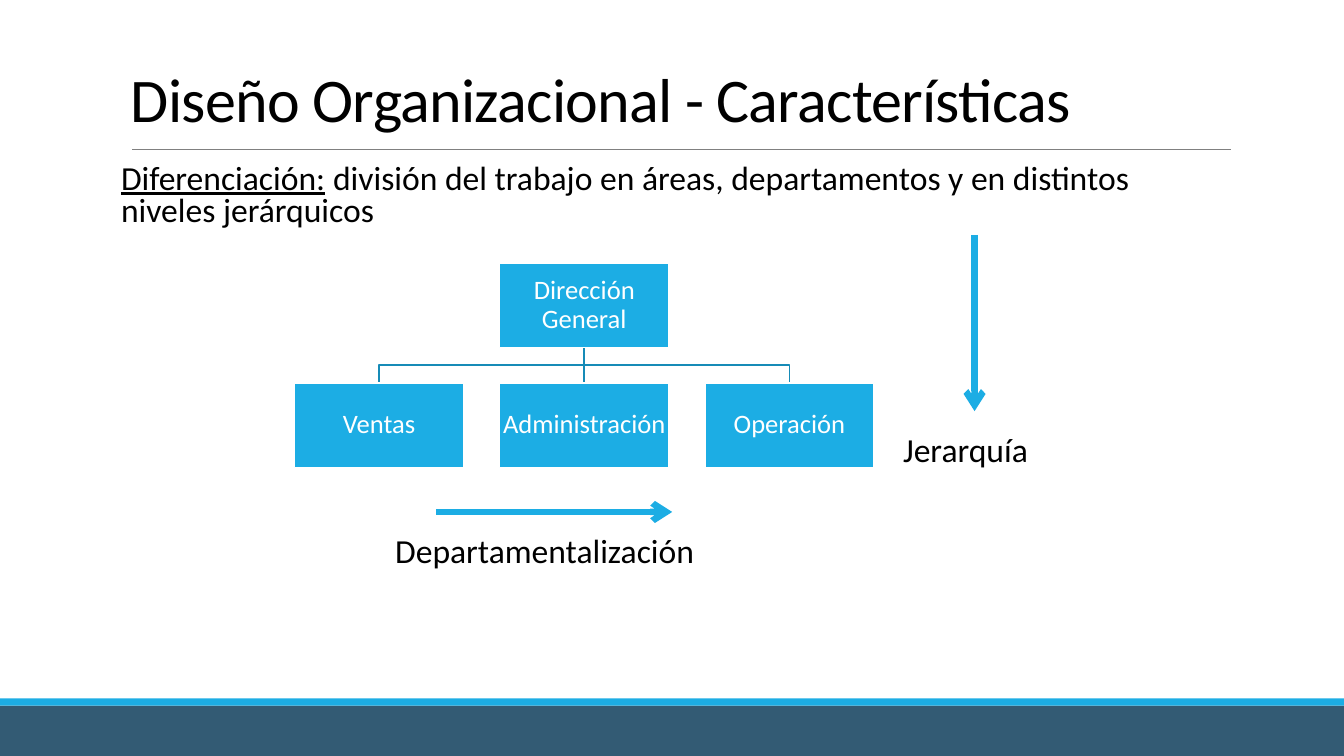
from dataclasses import dataclass

import pptx
import pptx.dml.color
import pptx.enum.shapes
import pptx.enum.text
import pptx.oxml
import pptx.oxml.ns
import pptx.util
from pptx.util import Cm

Anchor = pptx.enum.text.MSO_ANCHOR
Align = pptx.enum.text.PP_ALIGN
Preset = pptx.enum.shapes.MSO_SHAPE


@dataclass(frozen=True)
class Theme:
    font: str = "Calibri"
    text: str = "000000"
    light: str = "FFFFFF"
    accent: str = "1CADE4"
    link: str = "168BB7"
    footer: str = "335B74"
    rule: str = "808080"
    title_size: float = 44.3
    body_size: float = 24
    box_size: float = 19
    link_width: float = 1.25
    arrow_width: float = 4.5
    rule_width: float = 0.5


@dataclass(frozen=True)
class Area:
    left: float
    top: float
    width: float
    height: float

    def lengths(self) -> tuple:
        return tuple(Cm(v) for v in (self.left, self.top, self.width, self.height))


@dataclass(frozen=True)
class Unit:
    name: str
    left: float
    top: float


@dataclass(frozen=True)
class Arrow:
    start: tuple[float, float]
    end: tuple[float, float]
    label: str
    label_area: Area


THEME = Theme()
BOX_WIDTH, BOX_HEIGHT, BOX_PITCH = 4.27, 2.13, 5.17
ROW_LEFT, HEAD_TOP, ROW_TOP = 7.42, 6.63, 9.65

HEAD = Unit("Dirección General", ROW_LEFT + BOX_PITCH, HEAD_TOP)
DEPARTMENTS = [
    Unit(name, ROW_LEFT + i * BOX_PITCH, ROW_TOP)
    for i, name in enumerate(["Ventas", "Administración", "Operación"])
]
ARROWS = [
    Arrow((24.56, 5.92), (24.56, 10.36), "Jerarquía", Area(22.76, 10.8, 4.34, 1.5)),
    Arrow((11, 12.9), (16.94, 12.9), "Departamentalización", Area(9.96, 13.34, 8.69, 1.5)),
]


def rgb(code: str) -> pptx.dml.color.RGBColor:
    return pptx.dml.color.RGBColor.from_string(code)


def add_span(para, text: str, size: float, color: str, underline: bool = False):
    span = para.add_run()
    span.text = text
    span.font.name = THEME.font
    span.font.size = pptx.util.Pt(size)
    span.font.color.rgb = rgb(color)
    if underline:
        span.font.underline = True
    return span


def set_frame(frame, anchor, side: float, edge: float) -> None:
    frame.word_wrap = True
    frame.auto_size = pptx.enum.text.MSO_AUTO_SIZE.NONE
    frame.vertical_anchor = anchor
    frame.margin_left = frame.margin_right = Cm(side)
    frame.margin_top = frame.margin_bottom = Cm(edge)


def set_spacing(para, align, line: float, before: float = 0, after: float = 0) -> None:
    para.alignment = align
    para.line_spacing = line
    para.space_before = pptx.util.Pt(before)
    para.space_after = pptx.util.Pt(after)


def place(shape, area: Area) -> None:
    shape.left, shape.top, shape.width, shape.height = area.lengths()


def add_rectangle(page, area: Area, fill: str):
    box = page.shapes.add_shape(Preset.RECTANGLE, *area.lengths())
    box.shadow.inherit = False
    box.fill.solid()
    box.fill.fore_color.rgb = rgb(fill)
    box.line.fill.background()
    return box


def add_line(page, start: tuple, end: tuple, color: str, width: float):
    line = page.shapes.add_connector(
        pptx.enum.shapes.MSO_CONNECTOR.STRAIGHT, *(Cm(v) for v in start + end))
    line.line.color.rgb = rgb(color)
    line.line.width = pptx.util.Pt(width)
    effects = pptx.oxml.parse_xml(f'<a:effectLst {pptx.oxml.ns.nsdecls("a")}/>')
    line._element.spPr.append(effects)
    return line


def add_branch(page, head: Unit, unit: Unit) -> None:
    start_x, end_x = (u.left + BOX_WIDTH / 2 for u in (head, unit))
    start_y, end_y = head.top + BOX_HEIGHT, unit.top
    middle = (start_y + end_y) / 2
    builder = page.shapes.build_freeform(Cm(start_x), Cm(start_y))
    corners = [(start_x, middle), (end_x, middle), (end_x, end_y)]
    builder.add_line_segments([(Cm(x), Cm(y)) for x, y in corners], close=False)
    branch = builder.convert_to_shape()
    branch.shadow.inherit = False
    branch.fill.background()
    branch.line.color.rgb = rgb(THEME.link)
    branch.line.width = pptx.util.Pt(THEME.link_width)


def add_unit(page, unit: Unit):
    box = add_rectangle(page, Area(unit.left, unit.top, BOX_WIDTH, BOX_HEIGHT), THEME.accent)
    box.line.color.rgb = rgb(THEME.light)
    box.line.width = pptx.util.Pt(THEME.link_width)
    set_frame(box.text_frame, Anchor.MIDDLE, 0.03, 0.03)
    para = box.text_frame.paragraphs[0]
    set_spacing(para, Align.CENTER, 0.9)
    add_span(para, unit.name, THEME.box_size, THEME.light)
    return box


def add_arrow(page, arrow: Arrow) -> None:
    line = add_line(page, arrow.start, arrow.end, THEME.accent, THEME.arrow_width)
    head = pptx.oxml.parse_xml(f'<a:tailEnd {pptx.oxml.ns.nsdecls("a")} type="arrow"/>')
    line.line._get_or_add_ln().append(head)
    label = page.shapes.add_textbox(*arrow.label_area.lengths())
    set_frame(label.text_frame, Anchor.TOP, 0, 0.13)
    para = label.text_frame.paragraphs[0]
    set_spacing(para, Align.LEFT, 0.9, 11.1, 1.9)
    add_span(para, arrow.label, THEME.body_size, THEME.text)


def fill_title(title) -> None:
    place(title, Area(3.05, 0.79, 27.94, 2.74))
    set_frame(title.text_frame, Anchor.BOTTOM, 0.25, 0.13)
    para = title.text_frame.paragraphs[0]
    set_spacing(para, Align.LEFT, 0.85)
    span = add_span(para, "Diseño Organizacional - Características",
                    THEME.title_size, THEME.text)
    span._r.get_or_add_rPr().set("spc", "-50")


def fill_body(body) -> None:
    place(body, Area(3.05, 4.01, 27.94, 2.13))
    set_frame(body.text_frame, Anchor.TOP, 0, 0.13)
    para = body.text_frame.paragraphs[0]
    set_spacing(para, Align.LEFT, 0.8, 11.1, 1.9)
    props = para._p.get_or_add_pPr()
    props.set("marL", "0")
    props.set("indent", "0")
    props.append(pptx.oxml.parse_xml(f'<a:buNone {pptx.oxml.ns.nsdecls("a")}/>'))
    add_span(para, "Diferenciación:", THEME.body_size, THEME.text, underline=True)
    add_span(para, " división del trabajo en áreas, departamentos y en distintos "
             "niveles jerárquicos", THEME.body_size, THEME.text)


def main() -> None:
    deck = pptx.Presentation()
    deck.slide_width, deck.slide_height = Cm(33.87), Cm(19.05)
    page = deck.slides.add_slide(deck.slide_layouts[1])

    # Footer bands and title rule
    add_rectangle(page, Area(0, 17.78, 33.87, 1.27), THEME.footer)
    add_rectangle(page, Area(0, 17.6, 33.87, 0.18), THEME.accent)
    add_line(page, (3.33, 3.76), (31.01, 3.76), THEME.rule, THEME.rule_width)

    # Title and definition
    fill_title(page.shapes.title)
    fill_body(page.placeholders[1])

    # Organization chart, links behind boxes
    left, centre, right = DEPARTMENTS
    for unit in (left, right):
        add_branch(page, HEAD, unit)
    axis = HEAD.left + BOX_WIDTH / 2
    trunk = add_line(page, (axis, HEAD_TOP + BOX_HEIGHT), (axis, ROW_TOP),
                     THEME.link, THEME.link_width)
    boxes = {unit.name: add_unit(page, unit) for unit in [HEAD, *DEPARTMENTS]}
    trunk.begin_connect(boxes[HEAD.name], 2)
    trunk.end_connect(boxes[centre.name], 0)

    # Labelled arrows
    for arrow in ARROWS:
        add_arrow(page, arrow)

    deck.save("out.pptx")


if __name__ == "__main__":
    main()
